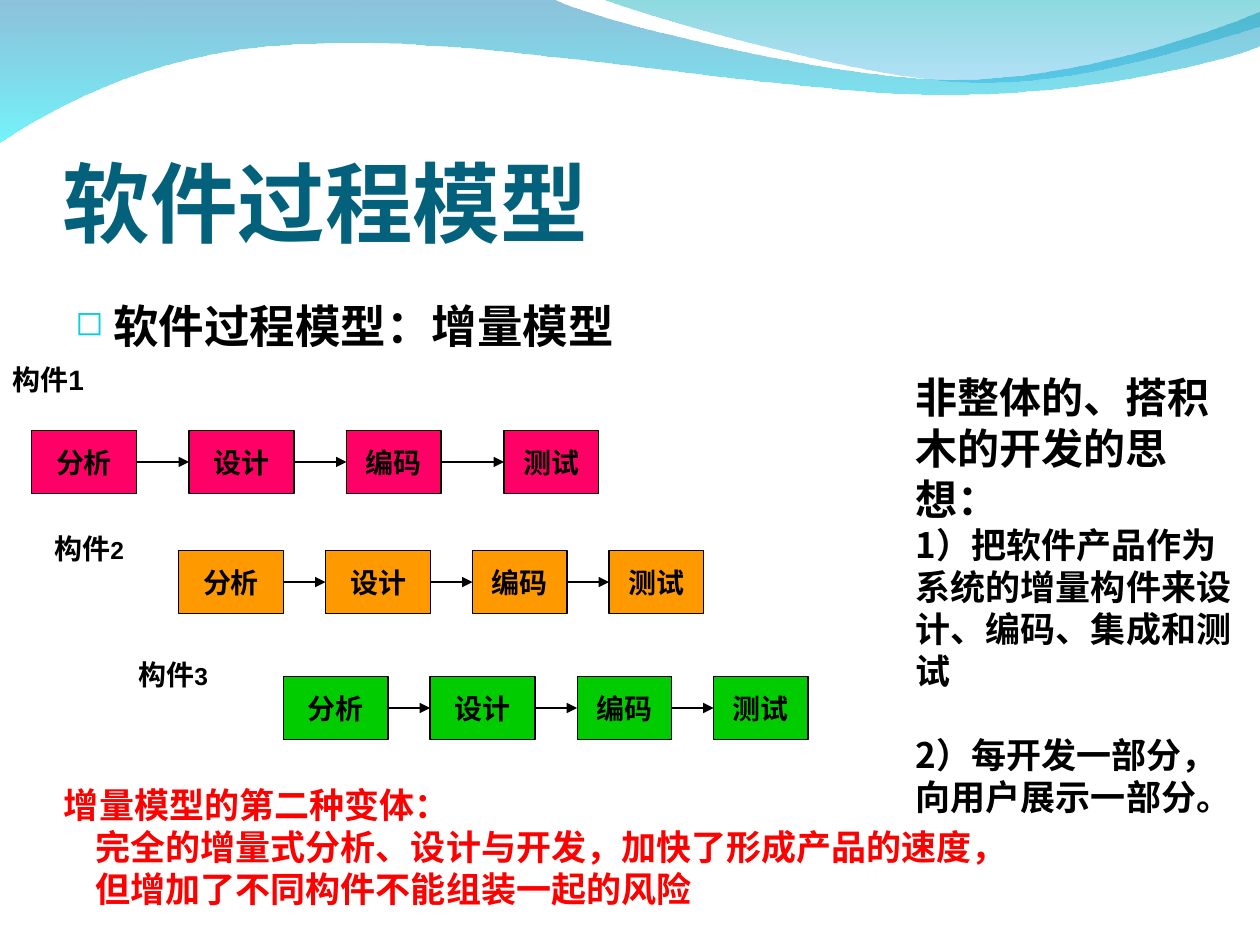
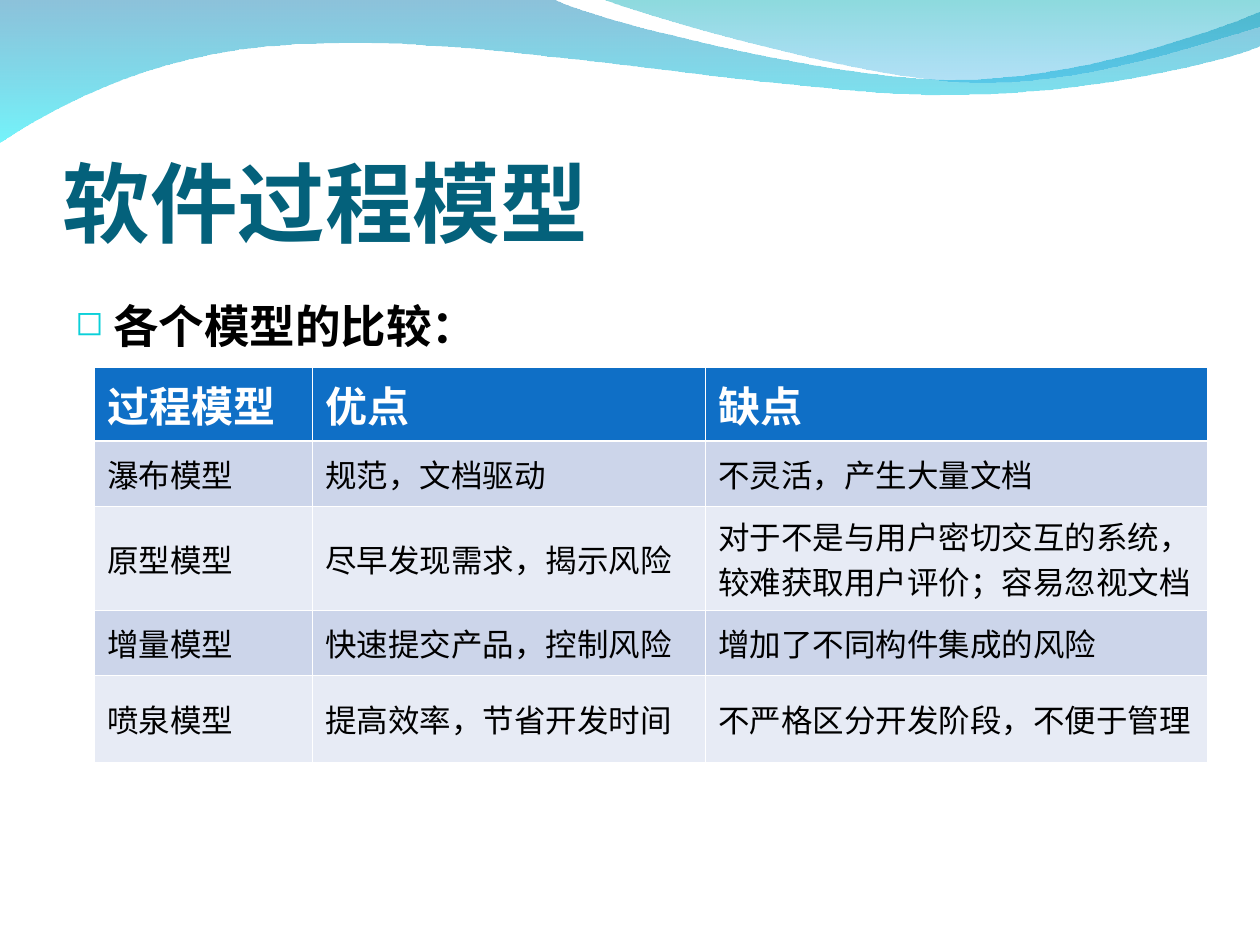
from lxml.etree import SubElement
from pptx import Presentation
from pptx.dml.color import RGBColor
from pptx.enum.shapes import MSO_CONNECTOR as CONN, MSO_SHAPE as SHAPE
from pptx.enum.text import MSO_ANCHOR as ANCHOR, PP_ALIGN as ALIGN
from pptx.oxml.ns import qn
from pptx.util import Pt

TITLE = RGBColor(0x04, 0x61, 0x7B)
BULLET = RGBColor(0x0B, 0xD0, 0xD9)
BLACK = RGBColor(0, 0, 0)
WHITE = RGBColor(255, 255, 255)
RED = RGBColor(255, 0, 0)
PINK = RGBColor(255, 0, 0x66)
ORANGE = RGBColor(255, 0x99, 0)
GREEN = RGBColor(0, 0xCC, 0)
HEADER = RGBColor(0x0F, 0x6F, 0xC6)
BAND_DARK = RGBColor(0xCC, 0xD5, 0xEA)
BAND_LIGHT = RGBColor(0xE7, 0xEB, 0xF5)
WAVE_TOP = RGBColor(0, 0x79, 0xAF)
WAVE_BOTTOM = RGBColor(0, 0xEB, 0xF8)
CREST_TOP = RGBColor(0, 0xAD, 0xB6)
CREST_BOTTOM = RGBColor(0, 0x9B, 0xE5)

CJK, LATIN, SERIF = "Noto Sans CJK SC", "Arial", "Vollkorn"
PAGE_W, PAGE_H = 720, 540
INSETS = (7.2, 3.6, 7.2, 3.6)

WAVE = [[(0, -0.5)], [(316.8, -0.5)],
        [(342.7, 12.2), (478, 45.4), (545.8, 45.4)],
        [(614, 45.4), (690, 18.7), (720, 6.5)], [(720.5, 26)],
        [(708, 31.7), (626.4, 54.7), (537, 54)],
        [(447.8, 54), (275, 20.2), (185, 24.5)],
        [(92.9, 25.2), (33, 59.8), (-0.5, 81.4)]]
CREST = [[(345, -0.5)], [(366.5, 8), (491, 44.6), (553.7, 46.8)],
         [(616.3, 49.7), (692, 23), (720, 15)], [(720, 0)]]

STEPS = [("分析", 60), ("设计", 60), ("编码", 54), ("测试", 54)]
FLOWS = [
    ("1", 16, (0, 203.5), (18, 246), PINK, (30, 30, 36)),
    ("2", 14, (24, 299.8), (102, 314.6), ORANGE, (24, 24, 24)),
    ("3", 14, (72, 371.8), (161.8, 386.6), GREEN, (24, 24, 24)),
]
COLUMNS = (124.6, 224.6, 286.6)
ROW_HEIGHTS = (41.8, 37.4, 59.4, 37.4, 49.7)
COMPARISON = [
    ("过程模型", "优点", "缺点"),
    ("瀑布模型", "规范，文档驱动", "不灵活，产生大量文档"),
    ("原型模型", "尽早发现需求，揭示风险",
     "对于不是与用户密切交互的系统，较难获取用户评价；容易忽视文档"),
    ("增量模型", "快速提交产品，控制风险", "增加了不同构件集成的风险"),
    ("喷泉模型", "提高效率，节省开发时间", "不严格区分开发阶段，不便于管理"),
]


def add_run(p, text, size, font=LATIN, color=BLACK, bold=True):
    """Add a formatted run to a paragraph."""
    r = p.add_run()
    r.text = text
    r.font.size, r.font.bold, r.font.name = Pt(size), bold, font
    r.font.color.rgb = color
    SubElement(r._r.get_or_add_rPr(), qn("a:ea"), typeface=CJK)


def set_frame(tf, insets=INSETS, anchor=ANCHOR.TOP, wrap=True):
    """Set the insets, anchor and wrapping of a text frame."""
    tf.margin_left, tf.margin_top, tf.margin_right, tf.margin_bottom = map(Pt, insets)
    tf.vertical_anchor, tf.word_wrap = anchor, wrap


def add_box(s, x, y, w, h, **frame):
    """Add a text box and return its text frame."""
    tf = s.shapes.add_textbox(Pt(x), Pt(y), Pt(w), Pt(h)).text_frame
    set_frame(tf, **frame)
    return tf


def bend(sp, outline):
    """Turn each run of three control points into a cubic curve."""
    lines = iter(list(sp._element.iter(qn("a:lnTo"))))
    for part in outline[1:]:
        first, *others = [next(lines) for _ in part]
        if others:
            first.tag_name = None
            path_el = first.getparent()
            cubic = SubElement(path_el, qn("a:cubicBezTo"))
            first.addprevious(cubic)
            for line in (first, *others):
                cubic.append(line[0])
                path_el.remove(line)


def add_wave(s, outline, stops):
    """Draw a curved band with a translucent vertical gradient."""
    points = [(x * 100, y * 100) for part in outline for x, y in part]
    fb = s.shapes.build_freeform(*points[0], scale=Pt(1) / 100)
    fb.add_line_segments(points[1:], close=True)
    sp = fb.convert_to_shape()
    bend(sp, outline)
    sp.shadow.inherit = False
    sp.line.fill.background()
    sp.fill.gradient()
    sp.fill.gradient_angle = 270
    for stop, position, (color, _) in zip(sp.fill.gradient_stops, (0, 1), stops):
        stop.color.rgb, stop.position = color, position
    for clr, (_, opacity) in zip(sp._element.spPr.iter(qn("a:srgbClr")), stops):
        SubElement(clr, qn("a:alpha"), val=str(opacity * 1000))


def add_base_slide(prs, heading):
    """Add a slide with waves, title and bulleted heading."""
    s = prs.slides.add_slide(prs.slide_layouts[6])
    add_wave(s, WAVE, [(WAVE_TOP, 45), (WAVE_BOTTOM, 55)])
    add_wave(s, CREST, [(CREST_TOP, 45), (CREST_BOTTOM, 30)])
    tf = add_box(s, 36, 55.2, 648, 90, insets=(0, 3.6, 0, 0), anchor=ANCHOR.BOTTOM)
    add_run(tf.paragraphs[0], "软件过程模型", 50, CJK, TITLE)
    p = add_box(s, 36, 152.6, 648, 345.6).paragraphs[0]
    pPr = p._p.get_or_add_pPr()
    pPr.set("marL", str(Pt(21.6)))
    pPr.set("indent", str(Pt(-21.6)))
    SubElement(SubElement(pPr, qn("a:buClr")), qn("a:srgbClr"), val=str(BULLET))
    SubElement(pPr, qn("a:buSzPct"), val="75000")
    SubElement(pPr, qn("a:buChar"), char="◻")
    p.line_spacing = 1.45
    add_run(p, heading, 26, SERIF)
    return s


def add_step(s, x, y, w, h, text, color):
    """Draw one coloured process step."""
    sp = s.shapes.add_shape(SHAPE.RECTANGLE, Pt(x), Pt(y), Pt(w), Pt(h))
    sp.shadow.inherit = False
    sp.fill.solid()
    sp.fill.fore_color.rgb = color
    sp.line.color.rgb, sp.line.width = BLACK, Pt(0.75)
    set_frame(sp.text_frame, anchor=ANCHOR.MIDDLE, wrap=False)
    p = sp.text_frame.paragraphs[0]
    p.alignment = ALIGN.CENTER
    add_run(p, text, 16)


def add_arrow(s, x, y, length):
    """Draw a horizontal arrow to the right."""
    c = s.shapes.add_connector(CONN.STRAIGHT, Pt(x), Pt(y), Pt(x + length), Pt(y))
    c.line.color.rgb, c.line.width = BLACK, Pt(0.75)
    SubElement(c.line._get_or_add_ln(), qn("a:tailEnd"), type="triangle")
    SubElement(c._element.spPr, qn("a:effectLst"))


def add_flow(s, number, number_size, label_at, start, color, gaps, h=36):
    """Draw one component's label and its chain of steps."""
    p = add_box(s, *label_at, 60, 26.6, wrap=False).paragraphs[0]
    p.line_spacing = Pt(19.4)
    add_run(p, "构件", 16)
    add_run(p, number, number_size)
    x, y = start
    for (text, w), gap in zip(STEPS, (*gaps, 0)):
        add_step(s, x, y, w, h, text, color)
        if gap:
            add_arrow(s, x + w, y + h / 2, gap)
        x += w + gap


def add_lines(s, x, y, w, h, lines, font, color):
    """Add a box of (text, size, indent, space before) paragraphs."""
    tf = add_box(s, x, y, w, h)
    for i, (text, size, indent, before) in enumerate(lines):
        p = tf.add_paragraph() if i else tf.paragraphs[0]
        p.line_spacing = Pt(round(size * 1.21))
        pPr = p._p.get_or_add_pPr()
        pPr.set("hangingPunct", "0")
        if indent:
            pPr.set("marL", str(Pt(indent)))
        if before:
            p.space_before = Pt(before)
        add_run(p, text, size, font, color)


def add_comparison(s, x, y):
    """Draw the comparison table with white rules and banded rows."""
    t = s.shapes.add_table(len(COMPARISON), len(COLUMNS), Pt(x), Pt(y),
                           Pt(sum(COLUMNS)), Pt(sum(ROW_HEIGHTS))).table
    for col, w in zip(t.columns, COLUMNS):
        col.width = Pt(w)
    for i, (row, h, texts) in enumerate(zip(t.rows, ROW_HEIGHTS, COMPARISON)):
        row.height = Pt(h)
        for cell, text in zip(row.cells, texts):
            cell.fill.solid()
            cell.fill.fore_color.rgb = (BAND_DARK if i % 2 else BAND_LIGHT) if i else HEADER
            cell.vertical_anchor = ANCHOR.MIDDLE if i else ANCHOR.TOP
            add_run(cell.text_frame.paragraphs[0], text, 18 if i else 24, SERIF,
                    BLACK if i else WHITE, not i)
            set_borders(cell, top=1.47 if i == 1 else 0.45, bottom=0.45 if i else 1.47)


def set_borders(cell, top, bottom):
    """Give a cell white borders."""
    tcPr = cell._tc.get_or_add_tcPr()
    widths = (("L", 0.45), ("R", 0.45), ("T", top), ("B", bottom))
    for i, (side, width) in enumerate(widths):
        ln = SubElement(tcPr, qn(f"a:ln{side}"), w=str(Pt(width)))
        SubElement(SubElement(ln, qn("a:solidFill")), qn("a:srgbClr"), val=str(WHITE))
        tcPr.insert(i, ln)


def add_increment_slide(prs):
    """Build the incremental model slide."""
    s = add_base_slide(prs, "软件过程模型：增量模型")
    for flow in FLOWS:
        add_flow(s, *flow)
    add_lines(s, 29.5, 444.4, 606, 79.2, [
        ("增量模型的第二种变体：", 20, 0, 0),
        ("完全的增量式分析、设计与开发，加快了形成产品的速度，", 20, 18, 0),
        ("但增加了不同构件不能组装一起的风险", 20, 18, 0)], LATIN, RED)
    add_lines(s, 516.2, 208.8, 198, 262, [
        ("非整体的、搭积木的开发的思想：", 24, 0, 0),
        ("1）把软件产品作为系统的增量构件来设计、编码、集成和测试", 20, 0, 0),
        ("2）每开发一部分，向用户展示一部分。", 20, 0, 24)], CJK, BLACK)


def add_comparison_slide(prs):
    """Build the model comparison slide."""
    s = add_base_slide(prs, "各个模型的比较：")
    add_comparison(s, 54, 210.2)


def main():
    """Build and save the presentation."""
    prs = Presentation()
    prs.slide_width, prs.slide_height = Pt(PAGE_W), Pt(PAGE_H)
    add_increment_slide(prs)
    add_comparison_slide(prs)
    prs.save("out.pptx")


if __name__ == "__main__":
    main()
